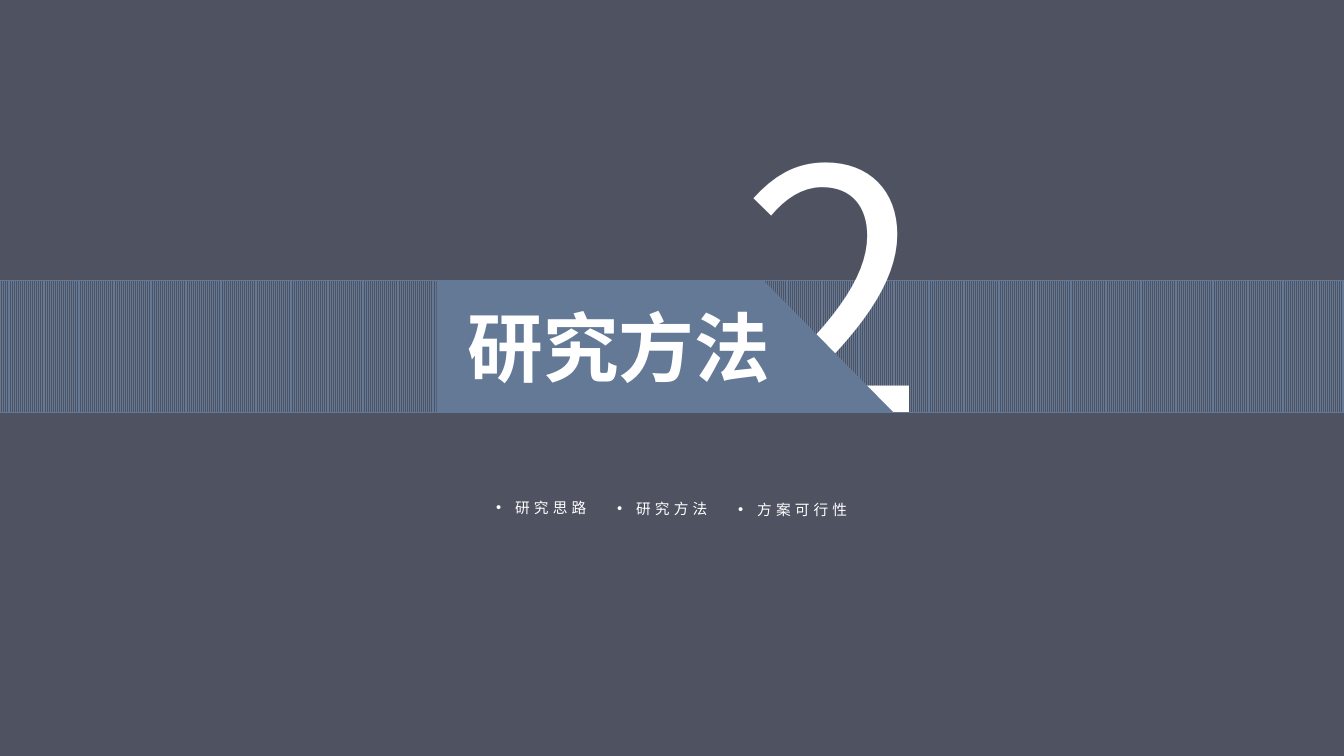
from lxml.etree import SubElement
from pptx import Presentation
from pptx.dml.color import RGBColor
from pptx.enum.dml import MSO_PATTERN
from pptx.enum.shapes import MSO_SHAPE
from pptx.enum.text import MSO_AUTO_SIZE
from pptx.oxml.ns import qn
from pptx.util import Inches, Pt

COLORS = {"slate": "4F5261", "blue": "647996", "white": "FFFFFF"}
CJK_FONT = "Noto Sans CJK SC"
LATIN_FONT = "Roboto Condensed"


def rgb(name):
    return RGBColor.from_string(COLORS[name])


def add_text(s, box, text, size, font=CJK_FONT, bold=False, wrap=False):
    tb = s.shapes.add_textbox(*map(Inches, box))
    tf = tb.text_frame
    tf.word_wrap = wrap
    tf.auto_size = MSO_AUTO_SIZE.SHAPE_TO_FIT_TEXT
    r = tf.paragraphs[0].add_run()
    r.text = text
    r.font.size = Pt(size)
    r.font.bold = bold
    r.font.color.rgb = rgb("white")
    r.font.name = font
    SubElement(r.font._element, qn("a:ea"), typeface=CJK_FONT)
    return tf


def add_band(s, x, y, w, h):
    """Striped band across the slide."""
    sp = s.shapes.add_shape(MSO_SHAPE.RECTANGLE, *map(Inches, (x, y, w, h)))
    sp.shadow.inherit = False
    sp.fill.patterned()
    sp.fill.pattern = MSO_PATTERN.LIGHT_VERTICAL
    sp.fill.fore_color.rgb = rgb("blue")
    sp.fill.back_color.rgb = rgb("slate")
    sp.line.color.rgb = rgb("blue")
    sp.line.width = Pt(1)


def add_title(s, x, y, w, h, number, title):
    """Section number, partly covered by the slanted title panel."""
    add_text(s, (x + 2.92, y - 2.06, 2.24, 4.12), number, 239)
    fb = s.shapes.build_freeform(Inches(x), Inches(y))
    corners = [(x + w - 1.29, y), (x + w, y + h), (x, y + h)]
    fb.add_line_segments([(Inches(px), Inches(py)) for px, py in corners])
    panel = fb.convert_to_shape()
    panel.shadow.inherit = False
    panel.fill.solid()
    panel.fill.fore_color.rgb = rgb("blue")
    panel.line.fill.background()
    add_text(s, (x + 0.21, y + 0.16, 3.25, 1.01), title, 54, bold=True)


def add_topics(s, x, y, topics):
    """Row of bulleted topics, each a little lower than the last."""
    for i, topic in enumerate(topics):
        w = 1.04 if len(topic) == 4 else 1.28
        tf = add_text(s, (x + 1.2 * i, y + 0.01 * i, w, 0.23), topic, 10.5,
                      LATIN_FONT, wrap=True)
        tf.margin_left = tf.margin_right = tf.margin_top = tf.margin_bottom = 0
        p = tf.paragraphs[0]
        p.line_spacing = 1.5
        p.runs[0].font._element.set("spc", "300")
        # Hanging bullet
        pPr = p._p.get_or_add_pPr()
        pPr.set("marL", str(Inches(0.19)))
        pPr.set("indent", str(-Inches(0.19)))
        clr = SubElement(pPr, qn("a:buClr"))
        SubElement(clr, qn("a:srgbClr"), val=COLORS["white"])
        SubElement(pPr, qn("a:buFont"), typeface="Arial")
        SubElement(pPr, qn("a:buChar"), char="•")


def main():
    prs = Presentation()
    prs.slide_width, prs.slide_height = Inches(13.33), Inches(7.5)
    s = prs.slides.add_slide(prs.slide_layouts[6])
    s.background.fill.solid()
    s.background.fill.fore_color.rgb = rgb("slate")
    add_band(s, 0, 2.78, 13.33, 1.31)
    add_title(s, 4.33, 2.78, 4.53, 1.31, "2", "研究方法")
    add_topics(s, 4.92, 4.86, ["研究思路", "研究方法", "方案可行性"])
    prs.save("out.pptx")


if __name__ == "__main__":
    main()
